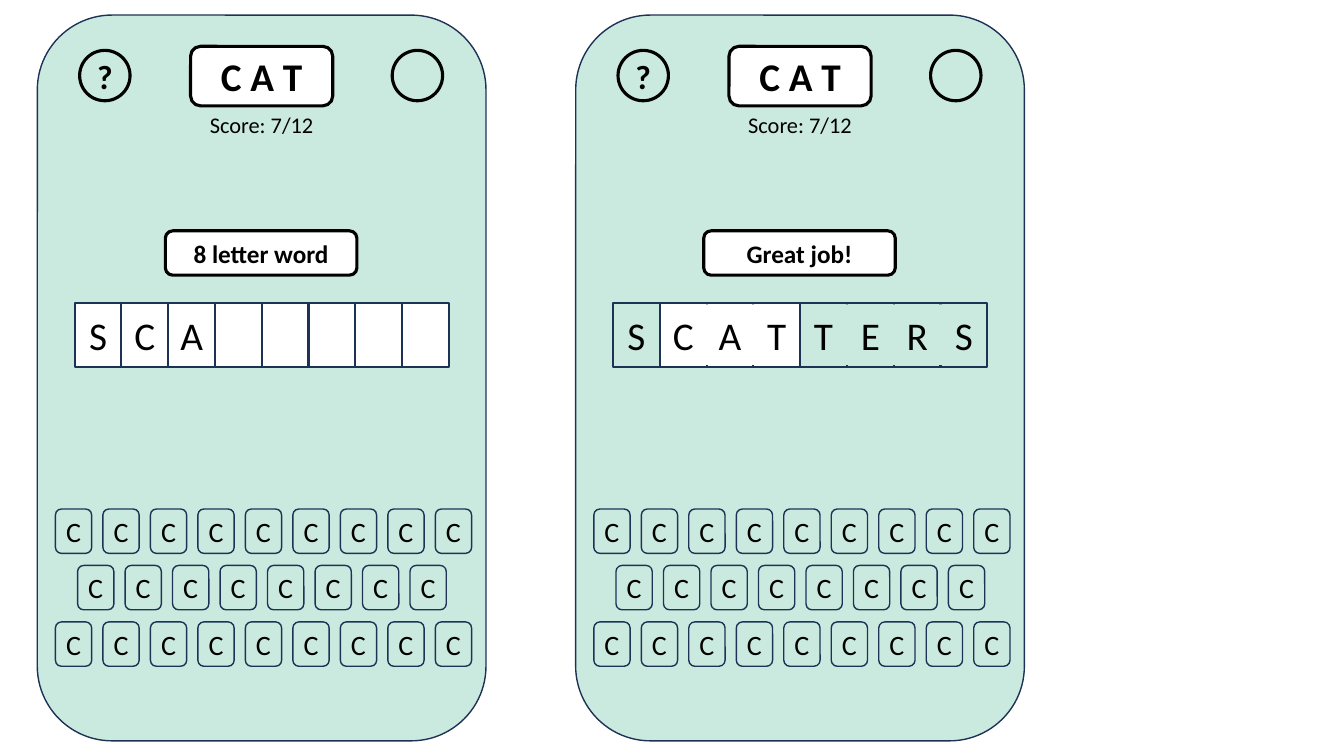
from dataclasses import dataclass
from typing import Optional

from pptx import Presentation
from pptx.dml.color import RGBColor
from pptx.enum.shapes import MSO_SHAPE as Shape
from pptx.enum.text import MSO_ANCHOR as Anchor, PP_ALIGN as Align
from pptx.util import Inches, Pt

COLUMNS, ROWS = 1333, 750


@dataclass(frozen=True)
class Theme:
    font: str = "Calibri"
    mint: str = "CBEADF"
    white: str = "FFFFFF"
    navy: str = "1E3256"
    black: str = "000000"
    letter: int = 28
    help: int = 24
    key: int = 20
    message: int = 18
    score: int = 16
    thin: float = 1
    medium: float = 1.5
    thick: float = 2.25


T = Theme()


@dataclass(frozen=True)
class Style:
    shape: Shape
    fill: Optional[str] = None
    line: Optional[str] = None
    weight: float = T.thin
    size: int = T.letter
    bold: bool = False


@dataclass(frozen=True)
class Box:
    col: float
    row: float
    cols: float
    rows: float


@dataclass(frozen=True)
class Phone:
    col: int
    message: str
    word: str
    white_tiles: range
    joins: dict[int, str]


BODY = Style(Shape.ROUNDED_RECTANGLE, T.mint, T.navy)
TITLE = Style(Shape.ROUNDED_RECTANGLE, T.white, T.black, T.thick, T.letter, True)
BUTTON = Style(Shape.OVAL, None, T.black, T.thick, T.help, True)
SCORE = Style(Shape.ROUNDED_RECTANGLE, size=T.score)
KEY = Style(Shape.ROUNDED_RECTANGLE, None, T.navy, T.thin, T.key)
MESSAGE = Style(Shape.ROUNDED_RECTANGLE, T.white, T.black, T.thick, T.message, True)
WHITE_TILE = Style(Shape.RECTANGLE, T.white, T.navy, T.medium)
CLEAR_TILE = Style(Shape.RECTANGLE, None, T.navy, T.medium)

TILE_COUNT, TILE_PITCH = 8, 46.4
KEY_PITCH, KEY_ROW_PITCH = 47.1, 56
KEY_ROWS = ((18, 9), (40, 8), (18, 9))

PHONES = (
    Phone(37, "8 letter word", "SCA", range(TILE_COUNT), {}),
    Phone(571, "Great job!", "SCATTERS", range(1, 4),
          {2: T.white, 3: T.white, 5: T.mint, 6: T.mint, 7: T.mint}),
)


def draw(prs: Presentation, s, box: Box, style: Style, text: str = "") -> None:
    col, row = prs.slide_width / COLUMNS, prs.slide_height / ROWS
    sp = s.shapes.add_shape(style.shape, round(box.col * col), round(box.row * row),
                            round(box.cols * col), round(box.rows * row))
    sp.shadow.inherit = False
    if style.fill:
        sp.fill.solid()
        sp.fill.fore_color.rgb = RGBColor.from_string(style.fill)
    else:
        sp.fill.background()
    if style.line:
        sp.line.color.rgb = RGBColor.from_string(style.line)
        sp.line.width = Pt(style.weight)
    else:
        sp.line.fill.background()
    if text:
        tf = sp.text_frame
        tf.margin_left = tf.margin_right = tf.margin_top = tf.margin_bottom = 0
        tf.vertical_anchor = Anchor.MIDDLE
        tf.word_wrap = True
        p = tf.paragraphs[0]
        p.alignment = Align.CENTER
        r = p.add_run()
        r.text = text
        r.font.name = T.font
        r.font.size = Pt(style.size)
        r.font.bold = style.bold
        r.font.color.rgb = RGBColor.from_string(T.black)


def draw_header(prs: Presentation, s, left: int) -> None:
    draw(prs, s, Box(left, 15, 445, 720), BODY)
    draw(prs, s, Box(left + 152, 46, 141, 59), TITLE, "C A T")
    draw(prs, s, Box(left + 42, 50, 50, 50), BUTTON, "?")
    draw(prs, s, Box(left + 352, 50, 50, 50), BUTTON)
    draw(prs, s, Box(left + 152, 109, 141, 30), SCORE, "Score: 7/12")


def draw_keyboard(prs: Presentation, s, left: int) -> None:
    for row, (indent, count) in enumerate(KEY_ROWS):
        for i in range(count):
            box = Box(left + indent + i * KEY_PITCH, 505 + row * KEY_ROW_PITCH, 36, 44)
            draw(prs, s, box, KEY, "C")


def draw_word(prs: Presentation, s, phone: Phone) -> None:
    left = phone.col + 37
    for i, letter in enumerate(phone.word.ljust(TILE_COUNT)):
        style = WHITE_TILE if i in phone.white_tiles else CLEAR_TILE
        draw(prs, s, Box(left + i * TILE_PITCH, 301, TILE_PITCH, 63), style, letter.strip())
    for i, colour in phone.joins.items():
        box = Box(left + i * TILE_PITCH - 6, 302, 12, 60)
        draw(prs, s, box, Style(Shape.RECTANGLE, colour))


def main() -> None:
    prs = Presentation()
    prs.slide_width, prs.slide_height = Inches(13.33), Inches(7.5)
    s = prs.slides.add_slide(prs.slide_layouts[6])
    for phone in PHONES:
        draw_header(prs, s, phone.col)
        draw_keyboard(prs, s, phone.col)
        draw(prs, s, Box(phone.col + 127, 229, 190, 44), MESSAGE, phone.message)
        draw_word(prs, s, phone)
    prs.save("out.pptx")


if __name__ == "__main__":
    main()
